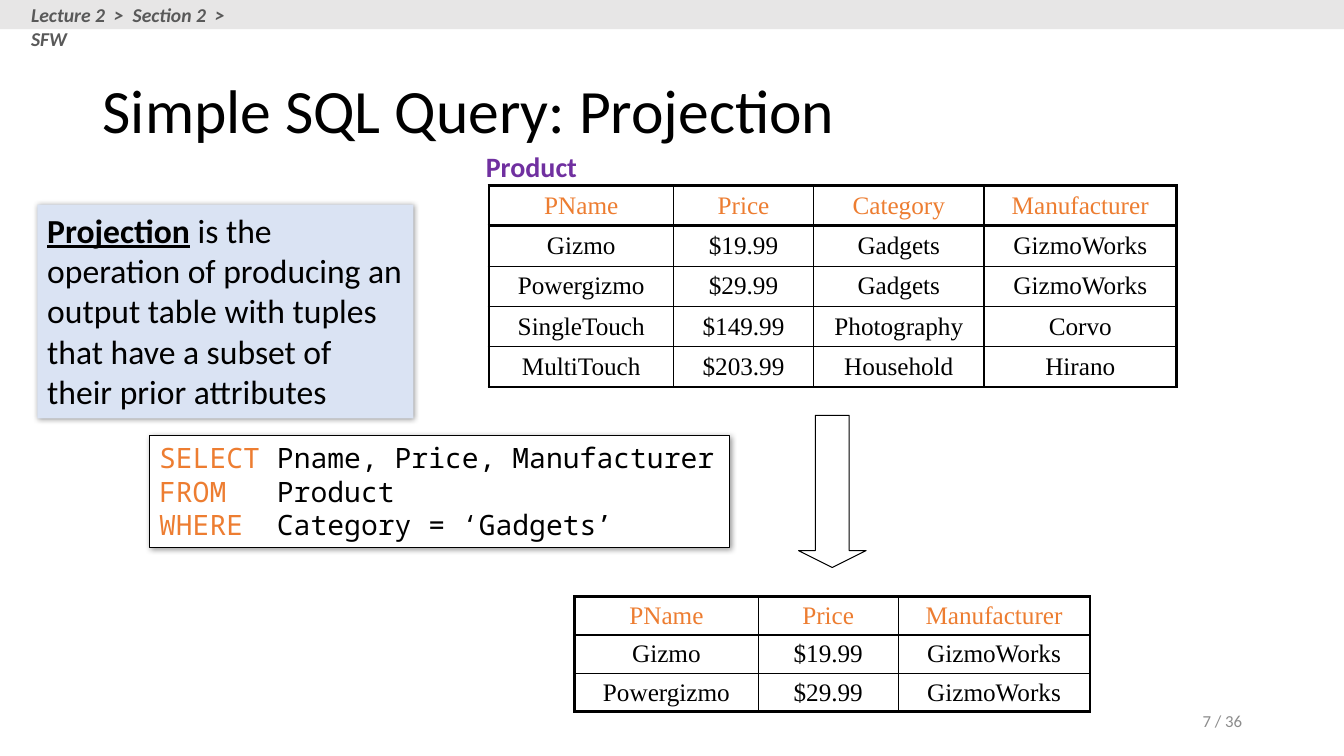
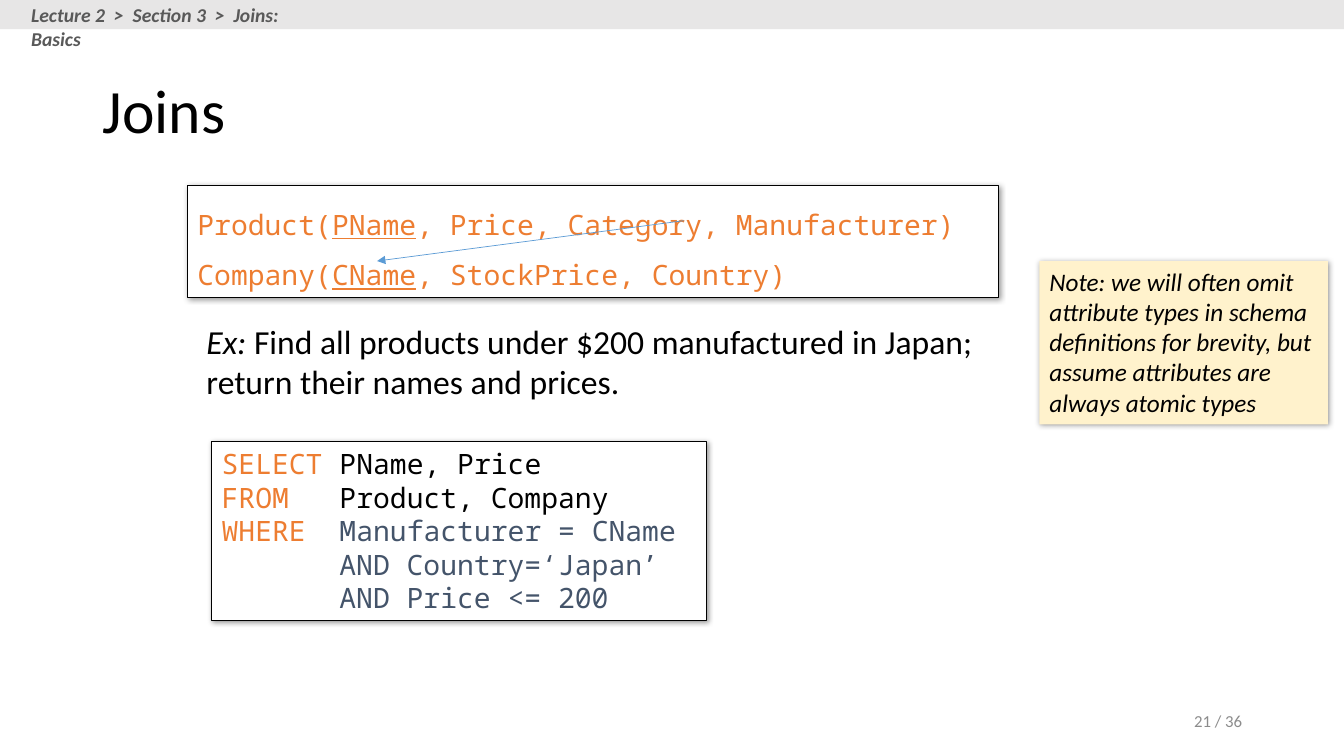
import pptx
import pptx.util
import pptx.dml.color
import pptx.enum.shapes
import pptx.enum.text
import pptx.oxml
import pptx.oxml.ns
from dataclasses import dataclass
from lxml import etree

Inches = pptx.util.Inches
Pt = pptx.util.Pt
qn = pptx.oxml.ns.qn
SHAPE = pptx.enum.shapes.MSO_SHAPE
ALIGN = pptx.enum.text.PP_ALIGN
ANCHOR = pptx.enum.text.MSO_ANCHOR


@dataclass(frozen=True)
class Theme:
    sans: str = "Calibri"
    mono: str = "Noto Sans Mono"
    serif: str = "Times New Roman"
    ink: str = "000000"
    white: str = "FFFFFF"
    accent: str = "ED7D31"
    slate: str = "44546A"
    purple: str = "7030A0"
    blue: str = "5B9BD5"
    band: str = "E7E6E6"
    crumb: str = "595959"
    footer: str = "8C8C8C"
    definition: str = "DAE3F3"
    note: str = "FFF2CC"
    title_size: int = 44
    body_size: int = 24
    code_size: int = 20
    cell_size: int = 18
    crumb_size: int = 14
    footer_size: int = 12
    thick: float = 2.25
    thin: float = 1
    outline: float = 0.75


T = Theme()
PAGE_COUNT = 36


def rgb(value):
    return pptx.dml.color.RGBColor.from_string(value)


def style_font(font, name=None, size=None, color=None, bold=None, italic=None, underline=None):
    if name:
        font.name = name
    if size:
        font.size = Pt(size)
    if color:
        font.color.rgb = rgb(color)
    for key, value in (("bold", bold), ("italic", italic), ("underline", underline)):
        if value is not None:
            setattr(font, key, value)


def write(tf, paragraphs, anchor=ANCHOR.TOP, align=ALIGN.LEFT, spacing=None, **font):
    """Fill a frame; a paragraph is a string or a list of strings and (text, font changes)."""
    tf.word_wrap = True
    tf.vertical_anchor = anchor
    for i, runs in enumerate(paragraphs):
        p = tf.paragraphs[0] if i == 0 else tf.add_paragraph()
        p.alignment = align
        if spacing:
            p.line_spacing = spacing
        style_font(p.font, **font)
        for run in [runs] if isinstance(runs, str) else runs:
            text, changes = (run, {}) if isinstance(run, str) else run
            r = p.add_run()
            r.text = text
            style_font(r.font, **changes)


def add_text(slide, box, paragraphs, **options):
    sp = slide.shapes.add_textbox(*map(Inches, box))
    write(sp.text_frame, paragraphs, **{"name": T.sans, **options})


def add_shape(slide, kind, box, fill=None, line=None):
    sp = slide.shapes.add_shape(kind, *map(Inches, box))
    sp.shadow.inherit = False
    if fill:
        sp.fill.solid()
        sp.fill.fore_color.rgb = rgb(fill)
    else:
        sp.fill.background()
    if line:
        sp.line.color.rgb = rgb(line)
        sp.line.width = Pt(T.outline)
    else:
        sp.line.fill.background()
    return sp


def add_panel(slide, box, paragraphs, fill, line=None, **options):
    """Add a text panel with a soft shadow to the lower right."""
    sp = add_shape(slide, SHAPE.RECTANGLE, box, fill, line)
    effects = sp.element.spPr.find(qn("a:effectLst"))
    shadow = etree.SubElement(effects, qn("a:outerShdw"), blurRad=str(Pt(4)),
                              dist=str(Pt(1)), dir="2700000", algn="tl", rotWithShape="0")
    color = etree.SubElement(shadow, qn("a:srgbClr"), val=T.ink)
    etree.SubElement(color, qn("a:alpha"), val="40000")
    write(sp.text_frame, paragraphs, **{"name": T.sans, "color": T.ink, **options})


def add_code(slide, box, lines, color=T.ink, spacing=None):
    add_panel(slide, box, lines, T.white, T.ink, name=T.mono, size=T.code_size,
              color=color, spacing=spacing)


def keyword(text):
    return text, {"color": T.accent}


def set_borders(cell, **widths):
    tcPr = cell._tc.get_or_add_tcPr()
    for side in "LRTB":
        ln = etree.SubElement(tcPr, qn("a:ln" + side), w=str(Pt(widths[side])))
        fill = etree.SubElement(ln, qn("a:solidFill"))
        etree.SubElement(fill, qn("a:srgbClr"), val=T.ink)


def add_table(slide, left, top, col_widths, row_height, rows):
    """Add a grid with a thick frame and a thick rule below its header."""
    n_rows, n_cols = len(rows), len(col_widths)
    frame = slide.shapes.add_table(n_rows, n_cols, Inches(left), Inches(top),
                                   Inches(sum(col_widths)), Inches(row_height * n_rows))
    table = frame.table
    table.first_row = table.horz_banding = False
    for column, width in zip(table.columns, col_widths):
        column.width = Inches(width)
    for i, values in enumerate(rows):
        table.rows[i].height = Inches(row_height)
        for j, value in enumerate(values):
            cell = table.cell(i, j)
            set_borders(cell,
                        L=T.thick if j == 0 else T.thin,
                        R=T.thick if j == n_cols - 1 else T.thin,
                        T=T.thick if i <= 1 else T.thin,
                        B=T.thick if i in (0, n_rows - 1) else T.thin)
            cell.fill.background()
            cell.margin_top = cell.margin_bottom = Inches(0.04)
            cell.vertical_anchor = ANCHOR.MIDDLE
            p = cell.text_frame.paragraphs[0]
            p.alignment = ALIGN.CENTER
            style_font(p.font, T.serif, T.cell_size, T.ink if i else T.accent)
            p.add_run().text = value


def add_arrow(slide, start, end):
    line = slide.shapes.add_connector(pptx.enum.shapes.MSO_CONNECTOR.STRAIGHT,
                                      *map(Inches, start + end))
    line.line.color.rgb = rgb(T.blue)
    line.line.width = Pt(0.5)
    spPr = line.element.spPr
    etree.SubElement(spPr.find(qn("a:ln")), qn("a:tailEnd"), type="triangle")
    etree.SubElement(spPr, qn("a:effectLst"))


def new_slide(prs, title, crumbs, crumb_width, number):
    slide = prs.slides.add_slide(prs.slide_layouts[6])
    add_shape(slide, SHAPE.RECTANGLE, (0, 0, 13.33, 0.29), T.band)
    add_text(slide, (0.21, -0.02, crumb_width, 0.34), ["  >  ".join(crumbs)],
             size=T.crumb_size, color=T.crumb, bold=True, italic=True)
    add_text(slide, (0.92, 0.4, 11.5, 1.45), [title], anchor=ANCHOR.MIDDLE,
             spacing=0.9, size=T.title_size, color=T.ink)
    add_text(slide, (9.42, 6.95, 3, 0.4), [f"{number} / {PAGE_COUNT}"], anchor=ANCHOR.MIDDLE,
             align=ALIGN.RIGHT, size=T.footer_size, color=T.footer)
    return slide


def projection_slide(prs):
    slide = new_slide(prs, "Simple SQL Query: Projection",
                      ["Lecture 2", "Section 2", "SFW"], 2.54, 7)
    add_table(slide, 4.85, 1.84, [1.83, 1.39, 1.69, 1.91], 0.4, [
        ["PName", "Price", "Category", "Manufacturer"],
        ["Gizmo", "$19.99", "Gadgets", "GizmoWorks"],
        ["Powergizmo", "$29.99", "Gadgets", "GizmoWorks"],
        ["SingleTouch", "$149.99", "Photography", "Corvo"],
        ["MultiTouch", "$203.99", "Household", "Hirano"],
    ])
    add_shape(slide, SHAPE.DOWN_ARROW, (7.92, 4.12, 0.67, 1.51), line=T.ink).adjustments[1] = 0.25
    add_table(slide, 5.7, 5.92, [1.82, 1.39, 1.9], 0.38, [
        ["PName", "Price", "Manufacturer"],
        ["Gizmo", "$19.99", "GizmoWorks"],
        ["Powergizmo", "$29.99", "GizmoWorks"],
    ])
    add_code(slide, (1.48, 4.32, 5.76, 1.11), [
        [keyword("SELECT"), " Pname, Price, Manufacturer"],
        [keyword("FROM"), "   Product"],
        [keyword("WHERE"), "  Category = ‘Gadgets’"],
    ])
    add_panel(slide, (0.37, 2.03, 3.73, 2.12), [[
        ("Projection", {"bold": True, "underline": True}),
        " is the operation of producing an output table with tuples "
        "that have a subset of their prior attributes",
    ]], T.definition, size=T.body_size)
    add_text(slide, (4.72, 1.43, 1.12, 0.44), ["Product"],
             size=T.code_size, color=T.purple, bold=True)


def joins_slide(prs):
    slide = new_slide(prs, "Joins", ["Lecture 2", "Section 3", "Joins: Basics"], 3.14, 21)
    add_text(slide, (1.95, 3.13, 7.86, 0.98), [[
        ("Ex: ", {"italic": True}),
        "Find all products under $200 manufactured in Japan; return their names and prices.",
    ]], size=T.body_size, color=T.ink)
    condition = {"color": T.slate}
    add_code(slide, (2.1, 4.38, 4.91, 1.78), [
        [keyword("SELECT"), " PName, Price"],
        [keyword("FROM"), "   Product, Company"],
        [keyword("WHERE"), ("  Manufacturer = CName", condition)],
        [("       AND Country=‘Japan’", condition)],
        [("       AND Price <= 200", condition)],
    ])
    key = {"underline": True}
    add_code(slide, (1.86, 1.84, 8.04, 1.11), [
        ["Product(", ("PName", key), ", Price, Category, Manufacturer)"],
        ["Company(", ("CName", key), ", StockPrice, Country)"],
    ], color=T.accent, spacing=1.5)
    add_panel(slide, (10.31, 2.59, 2.86, 1.62), [
        "Note: we will often omit attribute types in schema definitions for brevity, "
        "but assume attributes are always atomic types",
    ], T.note, size=T.cell_size, italic=True)
    add_arrow(slide, (6.78, 2.19), (3.74, 2.59))


def main():
    prs = pptx.Presentation()
    prs.slide_width = Inches(13.33)
    prs.slide_height = Inches(7.5)
    projection_slide(prs)
    joins_slide(prs)
    prs.save("out.pptx")


if __name__ == "__main__":
    main()
